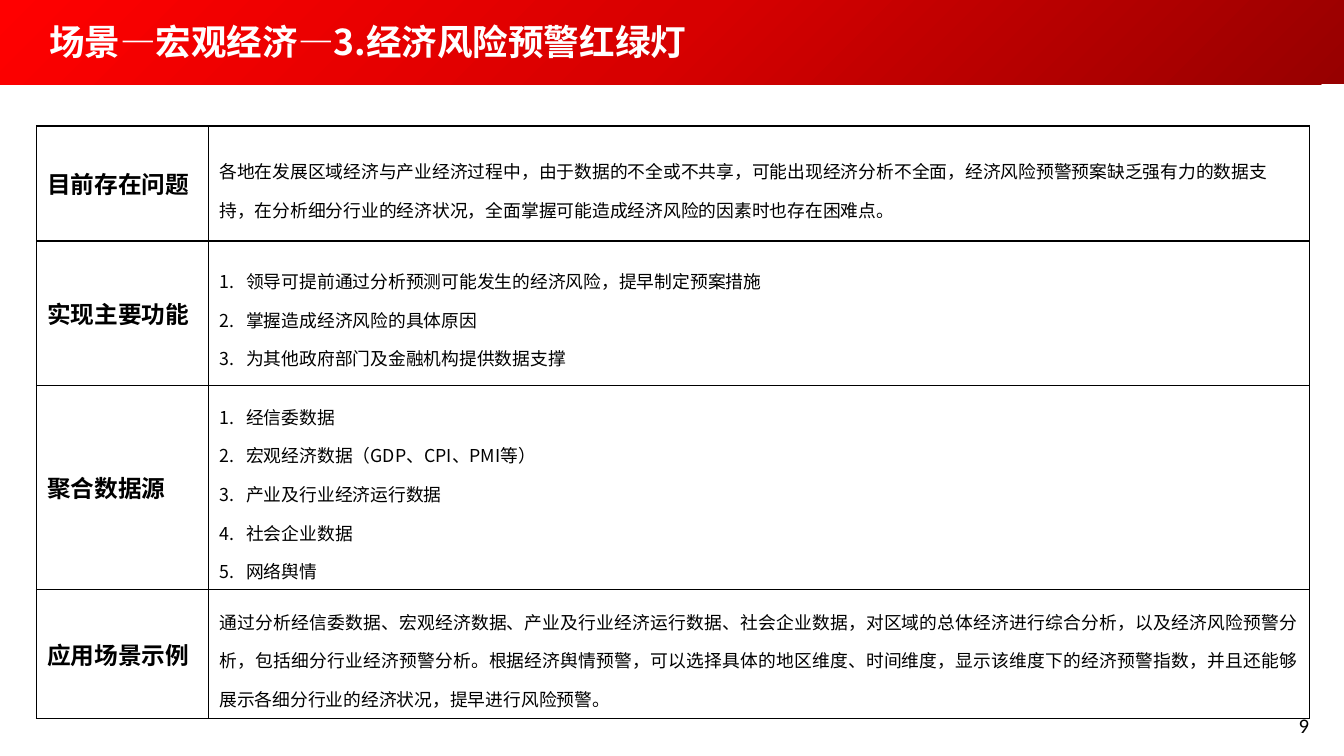
from dataclasses import dataclass

from pptx import Presentation
from pptx import oxml
from pptx import util as u
from pptx.dml.color import RGBColor
from pptx.enum import shapes, text
from pptx.oxml.ns import qn


@dataclass(frozen=True)
class Theme:
    black: str = "000000"
    white: str = "FFFFFF"
    band: tuple = ((0, "970000"), (50, "D70000"), (100, "FF0000"))
    band_angle: int = 225
    cjk: str = "Noto Sans CJK SC"
    latin: str = "Calibri"
    title: int = 24
    label: int = 16
    body: int = 12
    number: int = 14


THEME = Theme()
NS = 'xmlns:a="http://schemas.openxmlformats.org/drawingml/2006/main"'
TITLE = "场景—宏观经济—3.经济风险预警红绿灯"
COLUMN_WIDTHS = (4.1, 26.21)
ROWS = (
    (2.74, "目前存在问题",
     "各地在发展区域经济与产业经济过程中，由于数据的不全或不共享，可能出现经济分析不全面，"
     "经济风险预警预案缺乏强有力的数据支持，在分析细分行业的经济状况，"
     "全面掌握可能造成经济风险的因素时也存在困难点。", None),
    (3.43, "实现主要功能",
     ("领导可提前通过分析预测可能发生的经济风险，提早制定预案措施",
      "掌握造成经济风险的具体原因",
      "为其他政府部门及金融机构提供数据支撑"), None),
    (4.86, "聚合数据源",
     ("经信委数据",
      "宏观经济数据（GDP、CPI、PMI等）",
      "产业及行业经济运行数据",
      "社会企业数据",
      "网络舆情"), None),
    (3.07, "应用场景示例",
     "通过分析经信委数据、宏观经济数据、产业及行业经济运行数据、社会企业数据，"
     "对区域的总体经济进行综合分析，以及经济风险预警分析，包括细分行业经济预警分析。"
     "根据经济舆情预警，可以选择具体的地区维度、时间维度，显示该维度下的经济预警指数，"
     "并且还能够展示各细分行业的经济状况，提早进行风险预警。", text.PP_ALIGN.JUSTIFY),
)


def style_paragraph(para, size, color, name=THEME.cjk, bold=False):
    font = para.font
    font.size = u.Pt(size)
    font.bold = bold
    font.color.rgb = RGBColor.from_string(color)
    font.name = name
    defaults = para._p.pPr.find(qn("a:defRPr"))
    defaults.append(oxml.parse_xml(f'<a:ea {NS} typeface="{name}"/>'))


def number_paragraph(para):
    properties = para._p.get_or_add_pPr()
    properties.set("marL", str(u.Cm(0.64)))
    properties.set("indent", str(-u.Cm(0.64)))
    properties.append(oxml.parse_xml(f'<a:buAutoNum {NS} type="arabicPeriod"/>'))


def add_band(page, width, height):
    band = page.shapes.add_shape(shapes.MSO_SHAPE.RECTANGLE, 0, 0, width, height)
    band.shadow.inherit = False
    band.line.fill.background()
    stops = "".join(
        f'<a:gs pos="{position * 1000}"><a:srgbClr val="{color}"/></a:gs>'
        for position, color in THEME.band)
    gradient = oxml.parse_xml(
        f'<a:gradFill {NS} rotWithShape="1"><a:gsLst>{stops}</a:gsLst>'
        f'<a:lin ang="{THEME.band_angle * 60000}" scaled="0"/></a:gradFill>')
    band._element.spPr.find(qn("a:prstGeom")).addnext(gradient)


def add_text(page, area, words, anchor, align, **style):
    box = page.shapes.add_textbox(*(u.Cm(length) for length in area))
    frame = box.text_frame
    frame.word_wrap = True
    frame.vertical_anchor = anchor
    para = frame.paragraphs[0]
    para.text = words
    para.alignment = align
    style_paragraph(para, **style)
    return frame


def style_cell(cell):
    cell.vertical_anchor = text.MSO_ANCHOR.MIDDLE
    properties = cell._tc.get_or_add_tcPr()
    for side in ("lnL", "lnR", "lnT", "lnB"):
        properties.append(oxml.parse_xml(
            f'<a:{side} {NS} w="{u.Pt(1)}"><a:solidFill>'
            f'<a:srgbClr val="{THEME.black}"/></a:solidFill></a:{side}>'))
    cell.fill.solid()
    cell.fill.fore_color.rgb = RGBColor.from_string(THEME.white)


def fill_label(cell, words):
    style_cell(cell)
    para = cell.text_frame.paragraphs[0]
    para.text = words
    style_paragraph(para, THEME.label, THEME.black, bold=True)


def fill_body(cell, content, align):
    style_cell(cell)
    numbered = not isinstance(content, str)
    frame = cell.text_frame
    frame.text = "\n".join(content) if numbered else content
    for para in frame.paragraphs:
        para.line_spacing = 1.5
        para.alignment = align
        para._p.get_or_add_pPr().set("hangingPunct", "0")
        if numbered:
            number_paragraph(para)
        style_paragraph(para, THEME.body, THEME.black)


def add_scene_table(page, left, top):
    height = sum(row[0] for row in ROWS)
    frame = page.shapes.add_table(
        len(ROWS), len(COLUMN_WIDTHS), u.Cm(left), u.Cm(top),
        u.Cm(sum(COLUMN_WIDTHS)), u.Cm(height))
    table = frame.table
    table.first_row = False
    table.horz_banding = False
    for column, width in zip(table.columns, COLUMN_WIDTHS):
        column.width = u.Cm(width)
    for row, (height, label, content, align) in zip(table.rows, ROWS):
        row.height = u.Cm(height)
        fill_label(row.cells[0], label)
        fill_body(row.cells[1], content, align)


def main():
    deck = Presentation()
    deck.slide_width = u.Cm(32)
    deck.slide_height = u.Cm(18)
    page = deck.slides.add_slide(deck.slide_layouts[6])

    add_band(page, deck.slide_width, u.Cm(2.01))
    title = add_text(page, (0.89, 0.18, 30.25, 1.63), TITLE,
                     text.MSO_ANCHOR.MIDDLE, text.PP_ALIGN.LEFT,
                     size=THEME.title, color=THEME.white, bold=True)
    title.margin_left = title.margin_right = u.Cm(0.28)
    title.margin_top = title.margin_bottom = u.Cm(0.15)
    add_scene_table(page, 0.87, 3)
    add_text(page, (23.95, 16.84, 7.47, 0.97), "9",
             text.MSO_ANCHOR.TOP, text.PP_ALIGN.RIGHT,
             size=THEME.number, color=THEME.black, name=THEME.latin)

    deck.save("out.pptx")


if __name__ == "__main__":
    main()
